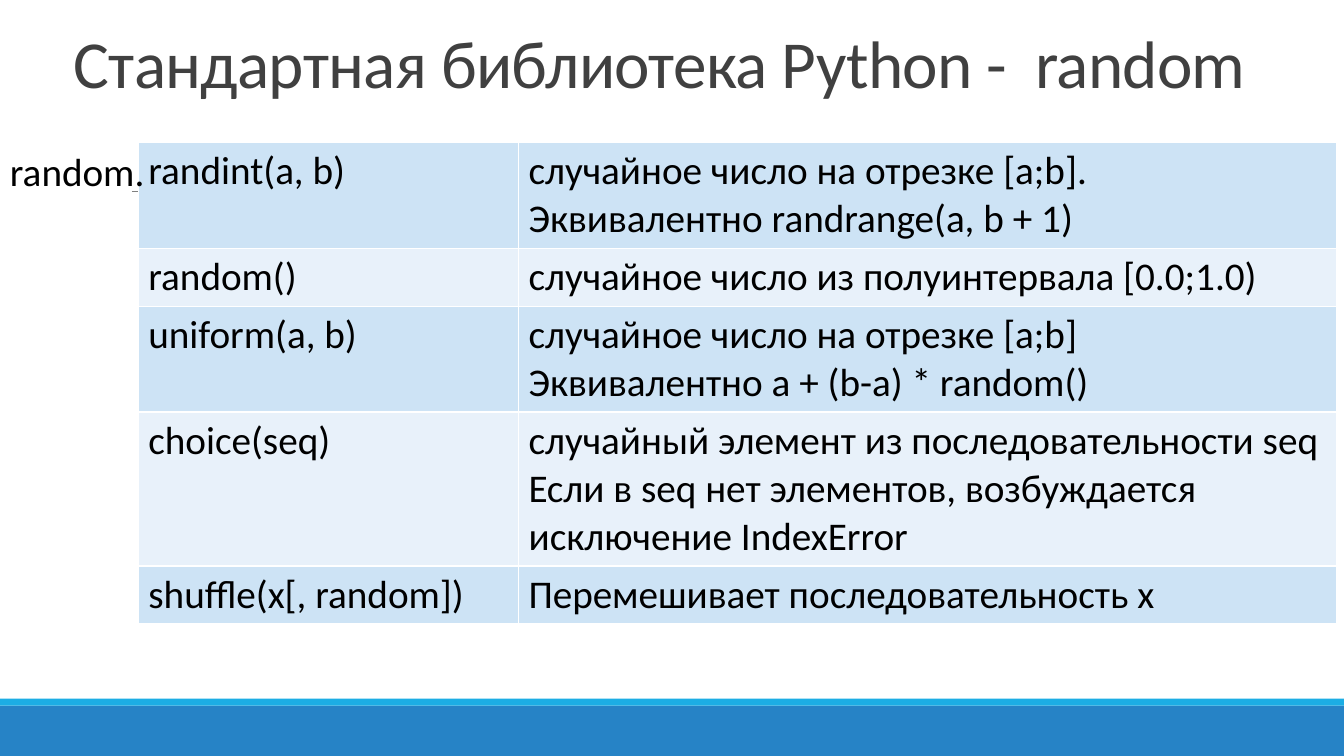
"""Build a slide that lists functions of the Python random module."""
import pptx
import pptx.dml.color
import pptx.enum.shapes
import pptx.enum.text
import pptx.oxml
import pptx.oxml.ns
import pptx.util
from lxml import etree

Pt = pptx.util.Pt
COLORS = {
    "text": "000000",
    "title": "404040",
    "band": "2683C6",
    "stripe": "1CADE4",
    "rule": "808080",
    "border": "FFFFFF",
    "odd": "CDE3F5",
    "even": "E8F1FA",
}
FUNCTIONS = [
    ("randint(a, b)", ["случайное число на отрезке [a;b].",
                       "Эквивалентно randrange(a, b + 1)"], 2),
    ("random()", ["случайное число из полуинтервала [0.0;1.0)"], 1),
    ("uniform(a, b)", ["случайное число на отрезке [a;b]",
                       "Эквивалентно a + (b-a) * random()"], 2),
    ("choice(seq)", ["случайный элемент из последовательности seq",
                     "Если в seq нет элементов, возбуждается исключение IndexError"], 3),
    ("shuffle(x[, random])", ["Перемешивает последовательность x"], 1),
]
LINE_HEIGHT = 34.2
CELL_PADDING = 7.2


def rgb(name):
    return pptx.dml.color.RGBColor.from_string(COLORS[name])


def write(tf, lines, size=28, color="text", line_spacing=None, tracking=None):
    tf.word_wrap = True
    for i, line in enumerate(lines):
        p = tf.paragraphs[0] if i == 0 else tf.add_paragraph()
        p.alignment = pptx.enum.text.PP_ALIGN.LEFT
        if line_spacing:
            p.line_spacing = line_spacing
        r = p.add_run()
        r.text = line
        r.font.name = "Calibri"
        r.font.size = Pt(size)
        r.font.color.rgb = rgb(color)
        if tracking:
            r.font._element.set("spc", str(round(tracking * 100)))


def add_title(s, text):
    sp = s.shapes.title
    sp.left, sp.top, sp.width, sp.height = Pt(45.4), Pt(14.4), Pt(914.6), Pt(62)
    tf = sp.text_frame
    tf.auto_size = pptx.enum.text.MSO_AUTO_SIZE.NONE
    tf.vertical_anchor = pptx.enum.text.MSO_ANCHOR.BOTTOM
    write(tf, [text], size=48, color="title", line_spacing=0.85, tracking=-0.5)


def add_bar(s, top, height, color):
    sp = s.shapes.add_shape(pptx.enum.shapes.MSO_SHAPE.RECTANGLE,
                            0, Pt(top), Pt(960), Pt(height))
    sp.shadow.inherit = False
    sp.fill.solid()
    sp.fill.fore_color.rgb = rgb(color)
    sp.line.fill.background()


def add_rule(s, left, right, y):
    line = s.shapes.add_connector(pptx.enum.shapes.MSO_CONNECTOR.STRAIGHT,
                                  Pt(left), Pt(y), Pt(right), Pt(y))
    line.line.color.rgb = rgb("rule")
    line.line.width = Pt(0.5)
    etree.SubElement(line._element.spPr, pptx.oxml.ns.qn("a:effectLst"))


def add_borders(cell):
    tc_pr = cell._tc.get_or_add_tcPr()
    for side in ("lnL", "lnR", "lnT", "lnB"):
        ln = etree.SubElement(tc_pr, pptx.oxml.ns.qn(f"a:{side}"), w=str(Pt(1)))
        fill = etree.SubElement(ln, pptx.oxml.ns.qn("a:solidFill"))
        etree.SubElement(fill, pptx.oxml.ns.qn("a:srgbClr"), val=COLORS["border"])


def fill_cell(cell, lines, color):
    add_borders(cell)
    cell.fill.solid()
    cell.fill.fore_color.rgb = rgb(color)
    write(cell.text_frame, lines)


def add_function_table(s):
    heights = [LINE_HEIGHT * count + CELL_PADDING for _, _, count in FUNCTIONS]
    widths = (271.6, 584.6)
    table = s.shapes.add_table(len(FUNCTIONS), 2, Pt(98.8), Pt(101.6),
                               Pt(sum(widths)), Pt(sum(heights))).table
    table.first_row = False
    table.horz_banding = False
    for col, width in zip(table.columns, widths):
        col.width = Pt(width)
    for i, (name, description, _) in enumerate(FUNCTIONS):
        table.rows[i].height = Pt(heights[i])
        color = "even" if i % 2 else "odd"
        fill_cell(table.cell(i, 0), [name], color)
        fill_cell(table.cell(i, 1), description, color)


def add_label(s, text):
    sp = s.shapes.add_textbox(0, Pt(101.6), Pt(121), Pt(41.2))
    write(sp.text_frame, [text])


def main():
    prs = pptx.Presentation()
    prs.slide_width, prs.slide_height = Pt(960), Pt(540)
    s = prs.slides.add_slide(prs.slide_layouts[5])
    add_bar(s, 504, 36, "band")
    add_bar(s, 499, 5, "stripe")
    add_rule(s, 94.3, 879.1, 136.8)
    add_title(s, "Стандартная библиотека Python -  random")
    add_function_table(s)
    add_label(s, "random.")
    prs.save("out.pptx")


if __name__ == "__main__":
    main()
